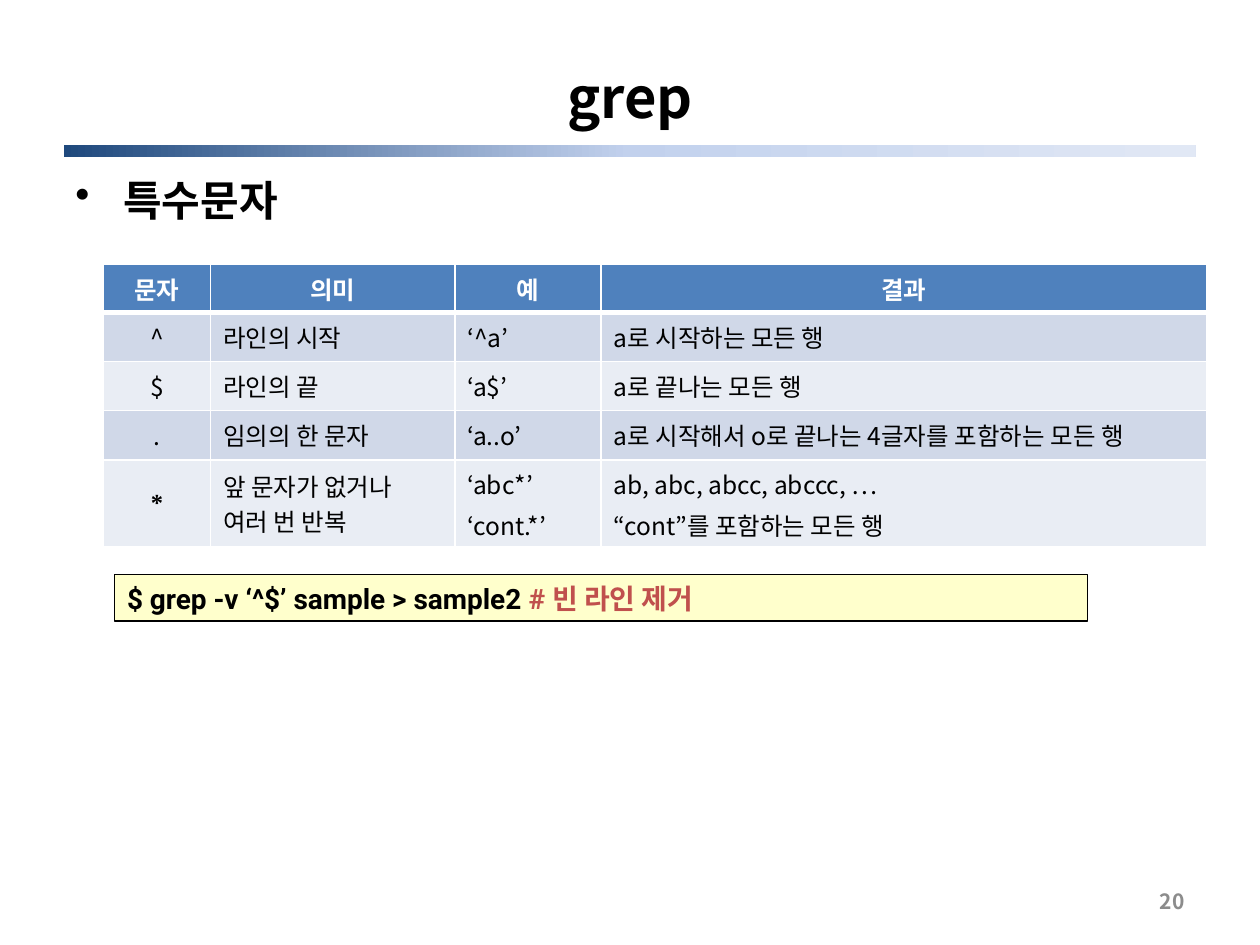
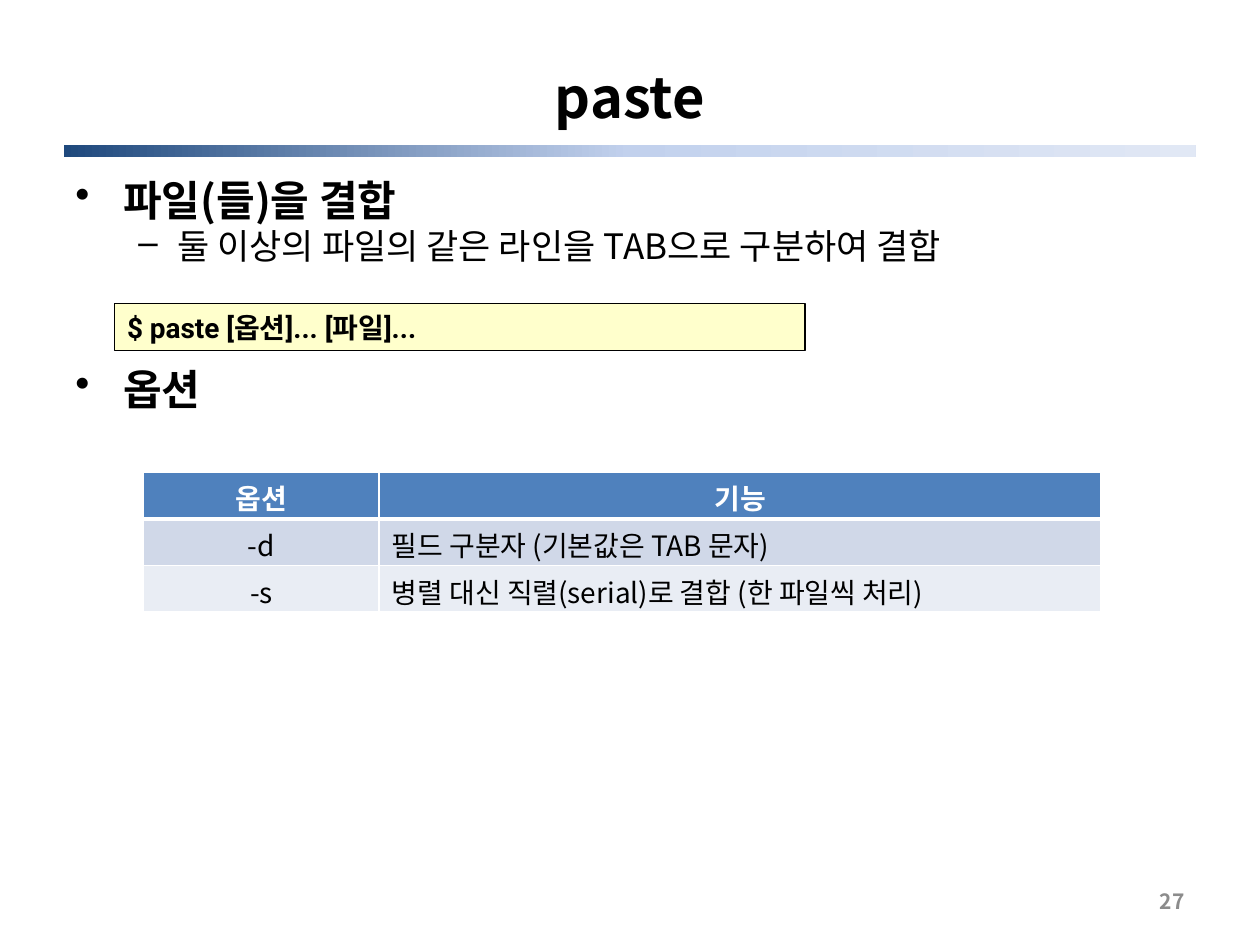
from dataclasses import dataclass

from lxml.etree import SubElement
from pptx import Presentation
from pptx.dml.color import RGBColor
from pptx.enum.shapes import MSO_SHAPE
from pptx.enum.text import MSO_ANCHOR, PP_ALIGN
from pptx.oxml import parse_xml
from pptx.oxml.ns import nsdecls, qn
from pptx.util import Inches, Pt

SANS, CODE, SERIF = "Noto Sans CJK KR", "Roboto", "Times New Roman"
BLACK, WHITE, GRAY, RED = "000000", "FFFFFF", "8C8C8C", "C0504D"
HEAD, CREAM = "4F81BD", "FFFFCC"
STRIPES = ("D0D8E8", "E9EDF4")
BAND = ((0, "1F497D"), (50, "C2D1ED"), (100, "E1E8F5"))


@dataclass
class Item:
    text: str
    level: int = 0
    before: float = 0


@dataclass
class Command:
    top: float
    width: float
    text: str
    remark: str = ""


@dataclass
class Grid:
    left: float
    top: float
    cols: list[float]
    heights: list[float]
    size: int
    pads: tuple[float, float]
    rows: list[list[str]]


@dataclass
class Page:
    title: str
    number: int
    items: list[Item]
    command: Command
    grid: Grid


PAGES = [
    Page("grep", 20, [Item("특수문자")],
         Command(4.56, 7.72, "$ grep -v ‘^$’ sample > sample2 ", "# 빈 라인 제거"),
         Grid(0.82, 2.1, [0.85, 1.94, 1.16, 4.81],
              [0.38, 0.39, 0.39, 0.39, 0.69], 14, (0.05, 0.05), [
                  ["문자", "의미", "예", "결과"],
                  ["^", "라인의 시작", "‘^a’", "a로 시작하는 모든 행"],
                  ["$", "라인의 끝", "‘a$’", "a로 끝나는 모든 행"],
                  [".", "임의의 한 문자", "‘a..o’",
                   "a로 시작해서 o로 끝나는 4글자를 포함하는 모든 행"],
                  ["*", "앞 문자가 없거나 여러 번 반복", "‘abc*’\n‘cont.*’",
                   "ab, abc, abcc, abccc, …\n“cont”를 포함하는 모든 행"]])),
    Page("paste", 27,
         [Item("파일(들)을 결합"),
          Item("둘 이상의 파일의 같은 라인을 TAB으로 구분하여 결합", 1, 3),
          Item("옵션", 0, 59)],
         Command(2.41, 5.48, "$ paste [옵션]... [파일]..."),
         Grid(1.14, 3.75, [1.87, 5.73], [0.37] * 3, 16, (0.03, 0), [
             ["옵션", "기능"],
             ["-d", "필드 구분자 (기본값은 TAB 문자)"],
             ["-s", "병렬 대신 직렬(serial)로 결합 (한 파일씩 처리)"]])),
]


def rgb(color: str) -> RGBColor:
    return RGBColor.from_string(color)


def style(para, size: int, color: str = BLACK, bold: bool = True,
          face: str = SANS, align=PP_ALIGN.LEFT) -> None:
    para.alignment = align
    font = para.font
    font.size, font.bold, font.name = Pt(size), bold, face
    font.color.rgb = rgb(color)
    asian = SubElement(para._p.pPr.find(qn("a:defRPr")), qn("a:ea"))
    asian.set("typeface", SANS)


def add_box(slide, left: float, top: float, width: float, height: float):
    box = slide.shapes.add_textbox(*map(Inches, (left, top, width, height)))
    box.text_frame.word_wrap = True
    return box.text_frame


def add_line(slide, text: str, place: tuple, size: int, color: str, align) -> None:
    frame = add_box(slide, *place)
    frame.vertical_anchor = MSO_ANCHOR.MIDDLE
    frame.text = text
    style(frame.paragraphs[0], size, color, align=align)


def add_rect(slide, left: float, top: float, width: float, height: float):
    rect = slide.shapes.add_shape(
        MSO_SHAPE.RECTANGLE, *map(Inches, (left, top, width, height)))
    rect.shadow.inherit = False
    return rect


def add_band(slide) -> None:
    band = add_rect(slide, 0.51, 1.15, 8.98, 0.1)
    band.line.fill.background()
    stops = "".join(f'<a:gs pos="{pos * 1000}"><a:srgbClr val="{color}"/></a:gs>'
                    for pos, color in BAND)
    fill = parse_xml(f'<a:gradFill {nsdecls("a")}><a:gsLst>{stops}</a:gsLst>'
                     '<a:lin ang="0" scaled="0"/></a:gradFill>')
    band._element.spPr.find(qn("a:prstGeom")).addnext(fill)


def add_items(slide, items: list[Item]) -> None:
    frame = add_box(slide, 0.5, 1.39, 9, 5.31)
    for i, item in enumerate(items):
        para = frame.add_paragraph() if i else frame.paragraphs[0]
        para.text = item.text
        mark, left, hang, size = (("•", 0.38, 0.38, 24),
                                  ("–", 0.81, 0.31, 20))[item.level]
        props = para._p.get_or_add_pPr()
        props.set("marL", str(Inches(left)))
        props.set("indent", str(-Inches(hang)))
        SubElement(props, qn("a:buChar")).set("char", mark)
        para.line_spacing = 0.87
        if item.before:
            para.space_before = Pt(item.before)
        style(para, size, bold=item.level == 0)


def add_command(slide, command: Command) -> None:
    box = add_rect(slide, 0.91, command.top, command.width, 0.37)
    box.fill.solid()
    box.fill.fore_color.rgb = rgb(CREAM)
    box.line.color.rgb = rgb(BLACK)
    box.line.width = Pt(0.75)
    frame = box.text_frame
    frame.word_wrap = True
    frame.vertical_anchor = MSO_ANCHOR.MIDDLE
    para = frame.paragraphs[0]
    para.text = command.text
    style(para, 16, face=CODE)
    if command.remark:
        run = para.add_run()
        run.text = command.remark
        run.font.color.rgb = rgb(RED)


def set_edges(cell, row: int) -> None:
    """Draw white cell borders, thick between the head and the first row."""
    props = cell._tc.get_or_add_tcPr()
    wide = {"T": row == 1, "B": row == 0}
    for i, side in enumerate("LRTB"):
        points = 3 if wide.get(side) else 1
        props.insert(i, parse_xml(
            f'<a:ln{side} {nsdecls("a")} w="{Pt(points)}"><a:solidFill>'
            f'<a:srgbClr val="{WHITE}"/></a:solidFill></a:ln{side}>'))


def fill_cell(cell, text: str, row: int, col: int, grid: Grid) -> None:
    head = row == 0
    cell.fill.solid()
    cell.fill.fore_color.rgb = rgb(HEAD if head else STRIPES[(row - 1) % 2])
    set_edges(cell, row)
    cell.vertical_anchor = MSO_ANCHOR.MIDDLE
    cell.margin_top, cell.margin_bottom = map(Inches, grid.pads)
    cell.text = text
    star = text == "*"
    for i, para in enumerate(cell.text_frame.paragraphs):
        if i:
            para.space_before = Pt(3)
        style(para, grid.size, WHITE if head else BLACK, head or star,
              SERIF if star else SANS,
              PP_ALIGN.CENTER if head or col == 0 else PP_ALIGN.LEFT)


def add_grid(slide, grid: Grid) -> None:
    place = (grid.left, grid.top, sum(grid.cols), sum(grid.heights))
    table = slide.shapes.add_table(
        len(grid.rows), len(grid.cols), *map(Inches, place)).table
    for col, width in zip(table.columns, grid.cols):
        col.width = Inches(width)
    for row, height in zip(table.rows, grid.heights):
        row.height = Inches(height)
    for r, texts in enumerate(grid.rows):
        for c, text in enumerate(texts):
            fill_cell(table.cell(r, c), text, r, c, grid)


def add_page(deck, page: Page) -> None:
    slide = deck.slides.add_slide(deck.slide_layouts[6])
    add_band(slide)
    add_line(slide, page.title, (0.5, 0.3, 9, 0.93), 32, BLACK, PP_ALIGN.CENTER)
    add_items(slide, page.items)
    add_line(slide, str(page.number), (7.17, 6.95, 2.33, 0.4), 12, GRAY,
             PP_ALIGN.RIGHT)
    add_command(slide, page.command)
    add_grid(slide, page.grid)


def main() -> None:
    deck = Presentation()
    deck.slide_width, deck.slide_height = Inches(10), Inches(7.5)
    for page in PAGES:
        add_page(deck, page)
    deck.save("out.pptx")


if __name__ == "__main__":
    main()
